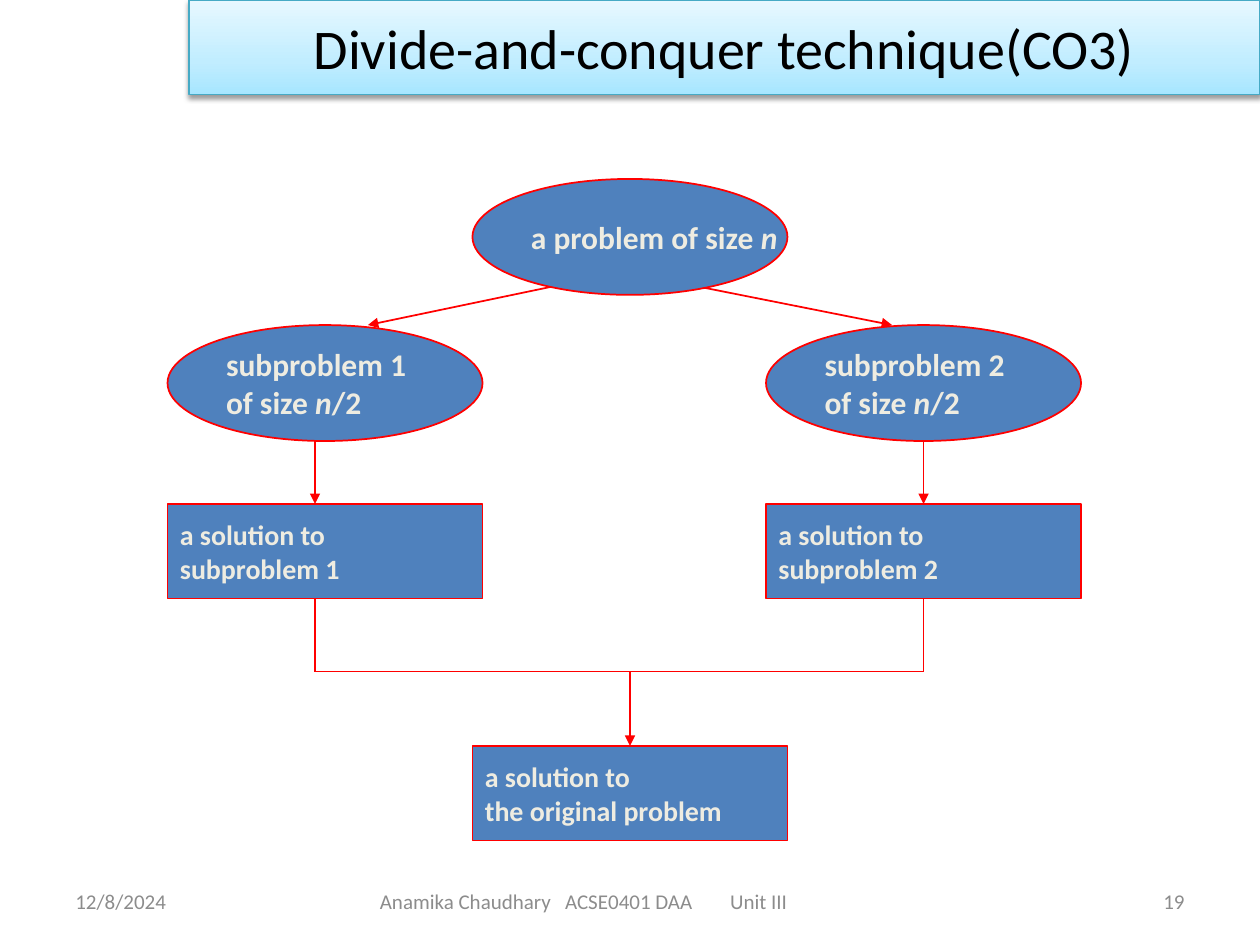
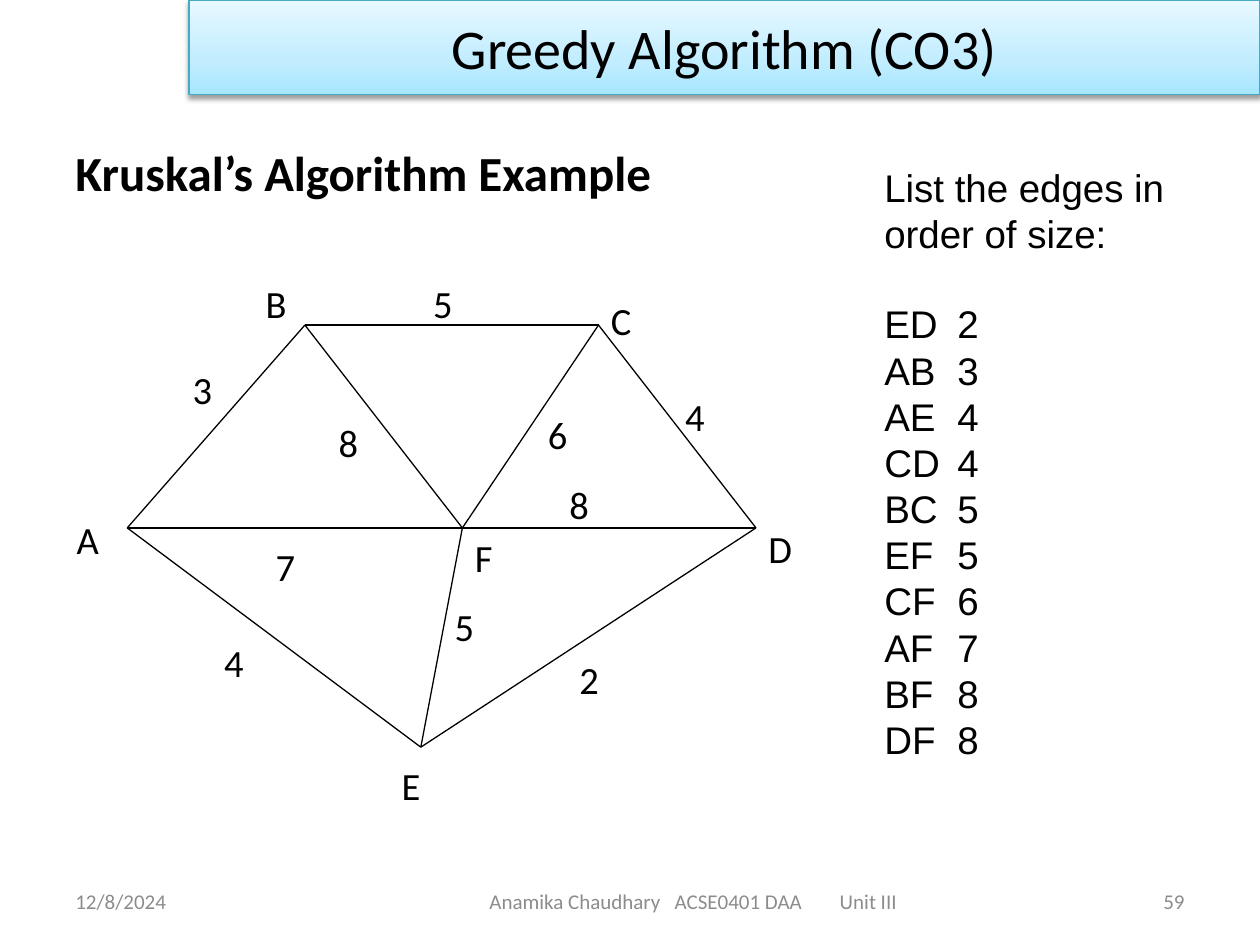
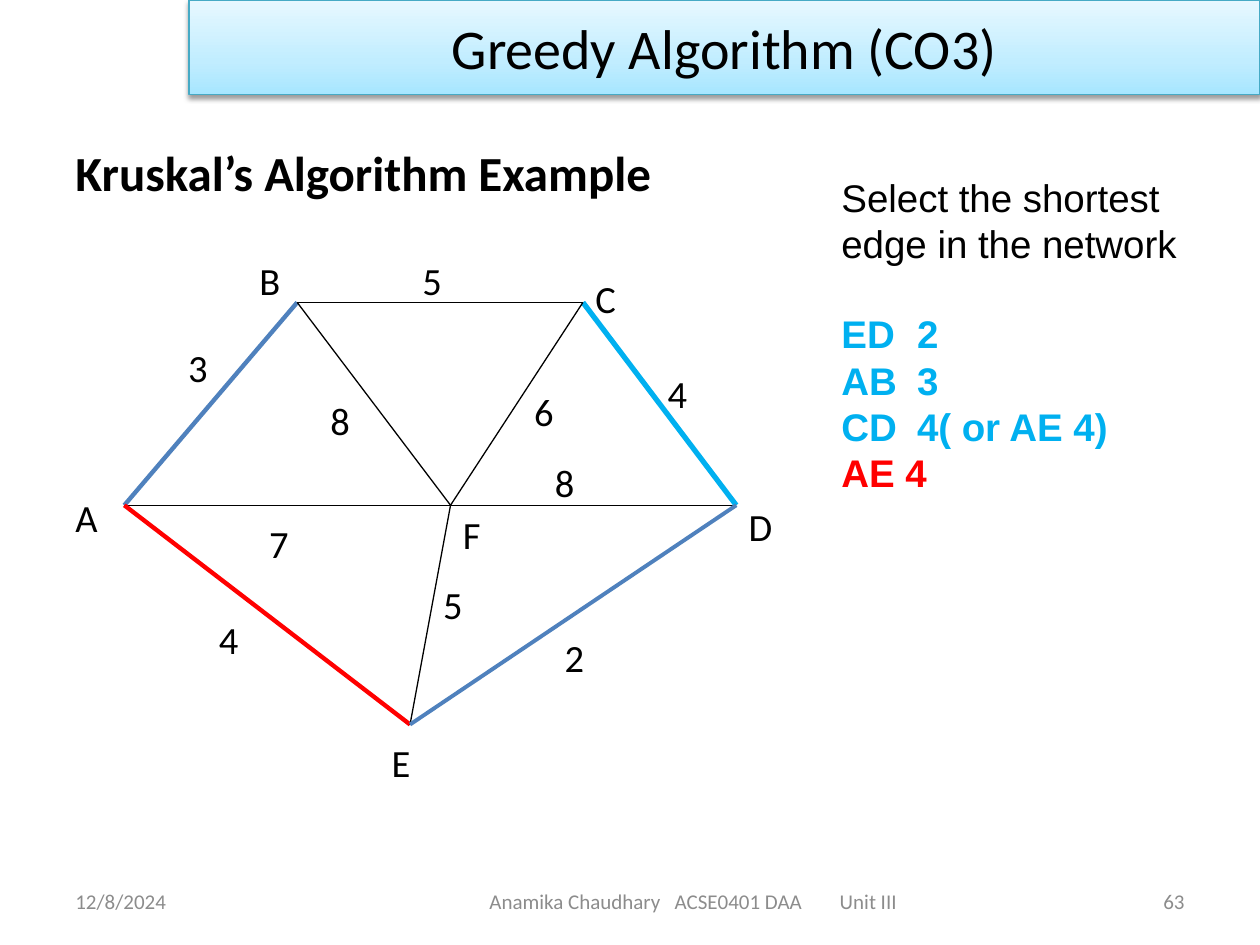
from copy import deepcopy

from lxml.etree import SubElement
from pptx import Presentation
from pptx.dml.color import RGBColor
from pptx.enum.shapes import MSO_CONNECTOR, MSO_SHAPE
from pptx.enum.text import MSO_ANCHOR, PP_ALIGN
from pptx.oxml.ns import qn
from pptx.util import Inches, Pt

COLORS = {
    "black": "000000", "grey": "8C8C8C", "red": "FF0000", "blue": "4F81BD",
    "sky": "00B0F0", "cream": "EEECE1", "band_line": "46AAC5",
}
BAND_STOPS = [(0, "A7E6FF"), (0.35, "C1EDFF"), (1, "E7F8FF")]
FOOTER = "Anamika Chaudhary\tACSE0401 DAA\tUnit III"
FOOTER_WIDTH = 3.23

# Network geometry, in inches from the corner of its box
NETWORK_WIDTH = 5.99
NODES = {"A": (0.5, 2.02), "B": (1.91, 0.41), "C": (4.24, 0.41),
         "D": (5.49, 2.02), "E": (2.83, 3.76), "F": (3.16, 2.02)}
EDGES = ["AB", "BC", "CD", "AF", "FD", "BF", "FC", "AE", "EF", "ED"]
LABELS = [
    ("A", 0, 1.88), ("F", 3.16, 2.02), ("B", 1.5, 0), ("C", 4.24, 0.14),
    ("D", 5.49, 1.95), ("E", 2.58, 3.83), ("2", 3.99, 2.99), ("7", 1.58, 2.09),
    ("4", 1.17, 2.85), ("5", 3, 2.57), ("8", 2.08, 1.11), ("6", 3.74, 1.04),
    ("4", 4.83, 0.9), ("5", 2.83, 0), ("3", 0.92, 0.69), ("8", 3.91, 1.6),
]


def rgb(name):
    return RGBColor.from_string(COLORS[name])


def add_run(p, text, size, color="black", font="Calibri", bold=False, italic=False):
    r = p.add_run()
    r.text = text
    r.font.name, r.font.size = font, Pt(size)
    r.font.bold, r.font.italic = bold, italic
    r.font.color.rgb = rgb(color)


def next_paragraph(tf, i):
    return tf.add_paragraph() if i else tf.paragraphs[0]


def set_tabs(p, *stops):
    tabs = SubElement(p._p.get_or_add_pPr(), qn("a:tabLst"))
    for stop in stops:
        SubElement(tabs, qn("a:tab"), pos=str(Inches(stop)), algn="l")


def add_text_box(shapes, x, y, w, h, anchor=MSO_ANCHOR.TOP):
    tf = shapes.add_textbox(Inches(x), Inches(y), Inches(w), Inches(h)).text_frame
    tf.word_wrap = True
    tf.vertical_anchor = anchor
    return tf


def add_line(shapes, start, end, color="black", width=0.75, arrow=False):
    c = shapes.add_connector(MSO_CONNECTOR.STRAIGHT, *map(Inches, start + end))
    c.line.color.rgb = rgb(color)
    c.line.width = Pt(width)
    if arrow:
        SubElement(c.line._get_or_add_ln(), qn("a:tailEnd"), type="triangle")
    SubElement(c._element.spPr, qn("a:effectLst"))
    return c


def add_title_band(s, title):
    sp = s.shapes.add_shape(MSO_SHAPE.RECTANGLE, Inches(1.5), 0, Inches(8.5), Inches(0.75))
    # Gradient with three stops
    sp.fill.gradient()
    sp.fill.gradient_angle = 90
    stop_list = sp._element.spPr.find(qn("a:gradFill")).find(qn("a:gsLst"))
    stop_list.append(deepcopy(stop_list[0]))
    for stop, (position, color) in zip(sp.fill.gradient_stops, BAND_STOPS):
        stop.position = position
        stop.color.rgb = RGBColor.from_string(color)
    sp.line.color.rgb = rgb("band_line")
    sp.line.width = Pt(0.75)
    # Soft shadow below
    sp.shadow.inherit = False
    effects = sp._element.spPr.find(qn("a:effectLst"))
    shadow = SubElement(effects, qn("a:outerShdw"), blurRad=str(Pt(3.1)),
                        dist=str(Pt(1.6)), dir="5400000", rotWithShape="0")
    shade = SubElement(shadow, qn("a:srgbClr"), val=COLORS["black"])
    SubElement(shade, qn("a:alpha"), val="38000")
    # Title
    sp.text_frame.vertical_anchor = MSO_ANCHOR.MIDDLE
    p = sp.text_frame.paragraphs[0]
    p.alignment = PP_ALIGN.CENTER
    add_run(p, title, 32)


def add_footer(s, number, x, w):
    y, h = 6.95, 0.4
    # Date and page number
    for left, text, align in [(0.5, "12/8/2024", PP_ALIGN.LEFT),
                              (7.17, str(number), PP_ALIGN.RIGHT)]:
        p = add_text_box(s.shapes, left, y, 2.33, h, MSO_ANCHOR.MIDDLE).paragraphs[0]
        p.alignment = align
        add_run(p, text, 12, "grey")
    # Author, course and unit, centred as one line
    tf = add_text_box(s.shapes, x, y, w, h, MSO_ANCHOR.MIDDLE)
    tf.margin_left = Inches((w - FOOTER_WIDTH) / 2)
    tf.margin_right = 0
    set_tabs(tf.paragraphs[0], 1.47, 2.78)
    add_run(tf.paragraphs[0], FOOTER, 12, "grey")


def new_slide(prs, title, number, footer_x=2.75, footer_w=5.5):
    s = prs.slides.add_slide(prs.slide_layouts[6])
    add_title_band(s, title)
    add_footer(s, number, footer_x, footer_w)
    return s


def add_step(s, kind, x, y, h, size, lines):
    """Add a filled step; the text between asterisks is italic."""
    sp = s.shapes.add_shape(kind, Inches(x), Inches(y), Inches(2.5), Inches(h))
    sp.shadow.inherit = False
    sp.fill.solid()
    sp.fill.fore_color.rgb = rgb("blue")
    sp.line.color.rgb = rgb("red")
    sp.line.width = Pt(1)
    tf = sp.text_frame
    tf.word_wrap = False
    tf.vertical_anchor = MSO_ANCHOR.MIDDLE
    for i, line in enumerate(lines):
        p = next_paragraph(tf, i)
        p.alignment = PP_ALIGN.LEFT
        for j, part in enumerate(line.split("*")):
            if part:
                add_run(p, part, size, "cream", bold=True, italic=j % 2 == 1)
    return sp


def add_problem_tree(s, x, y):
    def problem(dx, dy, *lines):
        return add_step(s, MSO_SHAPE.OVAL, x + dx, y + dy, 0.92, 18, lines)

    def solution(dx, dy, *lines):
        return add_step(s, MSO_SHAPE.RECTANGLE, x + dx, y + dy, 0.75, 16, lines)

    def link(x1, y1, x2, y2, arrow=True):
        return add_line(s.shapes, (x + x1, y + y1), (x + x2, y + y2), "red", 1, arrow)

    # Two branches: subproblem, its solution, and the lines down to the join
    join = 3.91
    branches = [(0, 1.17, 3.17, 1.59), (4.75, 6, 4.09, 5.75)]
    for n, (dx, stem, split, tip) in enumerate(branches, 1):
        problem(dx, 1.16, f"subproblem {n}", "of size *n*/2")
        box = solution(dx, 2.58, "a solution to", f"subproblem {n}")
        link(split, 0.83, tip, 1.16)
        down = link(stem, 2.08, stem, 2.58)
        out = link(stem, 3.33, stem, join, arrow=False)
        if stem == dx + 1.25:
            down.end_connect(box, 0)
            out.begin_connect(box, 2)
    # Join and final solution
    link(branches[0][1], join, branches[1][1], join, arrow=False)
    final = solution(2.42, 4.5, "a solution to", "the original problem")
    link(3.67, join, 3.67, 4.5).end_connect(final, 0)
    # Root covers the ends of its arrows
    problem(2.42, 0, "a problem of size *n*")


def add_network(s, x, y, w, chosen):
    shapes = s.shapes.add_group_shape().shapes
    scale = w / NETWORK_WIDTH

    def place(dx, dy):
        return x + dx * scale, y + dy

    for edge in EDGES:
        start, end = (place(*NODES[node]) for node in edge)
        add_line(shapes, start, end, *chosen.get(edge, ()))
    for text, dx, dy in LABELS:
        tf = add_text_box(shapes, *place(dx, dy), 0.5 * scale, 0.47)
        add_run(tf.paragraphs[0], text, 22)


def add_edge_list(s, x, y, w, h, heading, edges, tab):
    tf = add_text_box(s.shapes, x, y, w, h)
    rows = [(line, "black", False) for line in heading] + edges
    for i, (text, color, bold) in enumerate(rows):
        p = next_paragraph(tf, i)
        if i == len(heading):
            p.space_before = Pt(25.3)
        set_tabs(p, tab)
        add_run(p, text, 22, color, "Arial", bold)


def add_kruskal_slide(prs, number, network, chosen, edge_list):
    s = new_slide(prs, "Greedy Algorithm (CO3)", number)
    tf = add_text_box(s.shapes, 0.5, 1.08, 6.08, 0.57)
    add_run(tf.paragraphs[0], "Kruskal’s Algorithm Example", 28, bold=True)
    add_network(s, *network, chosen)
    add_edge_list(s, *edge_list)


def main():
    prs = Presentation()
    prs.slide_width, prs.slide_height = Inches(10), Inches(7.5)

    # Divide and conquer
    s = new_slide(prs, "Divide-and-conquer technique(CO3)", 19, 1.92, 5.42)
    add_problem_tree(s, 1.33, 1.42)

    # All edges by size
    sizes = ["ED\t2", "AB\t3", "AE\t4", "CD\t4", "BC\t5",
             "EF\t5", "CF\t6", "AF\t7", "BF\t8", "DF\t8"]
    add_kruskal_slide(
        prs, 59, (0.51, 2.17, NETWORK_WIDTH), {},
        (6.92, 1.25, 2.75, 5.28, ["List the edges in order of size:"],
         [(text, "black", False) for text in sizes], 0.58))

    # Edges chosen so far
    chosen = {"AB": ("blue", 2.5), "CD": ("sky", 3),
              "AE": ("red", 2.5), "ED": ("blue", 2.25)}
    picks = [("ED\t2", "sky", True), ("AB\t3", "sky", True),
             ("CD\t4( or AE 4)", "sky", True), ("AE 4", "red", True)]
    add_kruskal_slide(
        prs, 63, (0.5, 1.99, 5.83), chosen,
        (6.58, 1.33, 3.17, 3.4, ["Select the shortest", "edge in the network"],
         picks, 0.6))

    prs.save("out.pptx")


if __name__ == "__main__":
    main()
